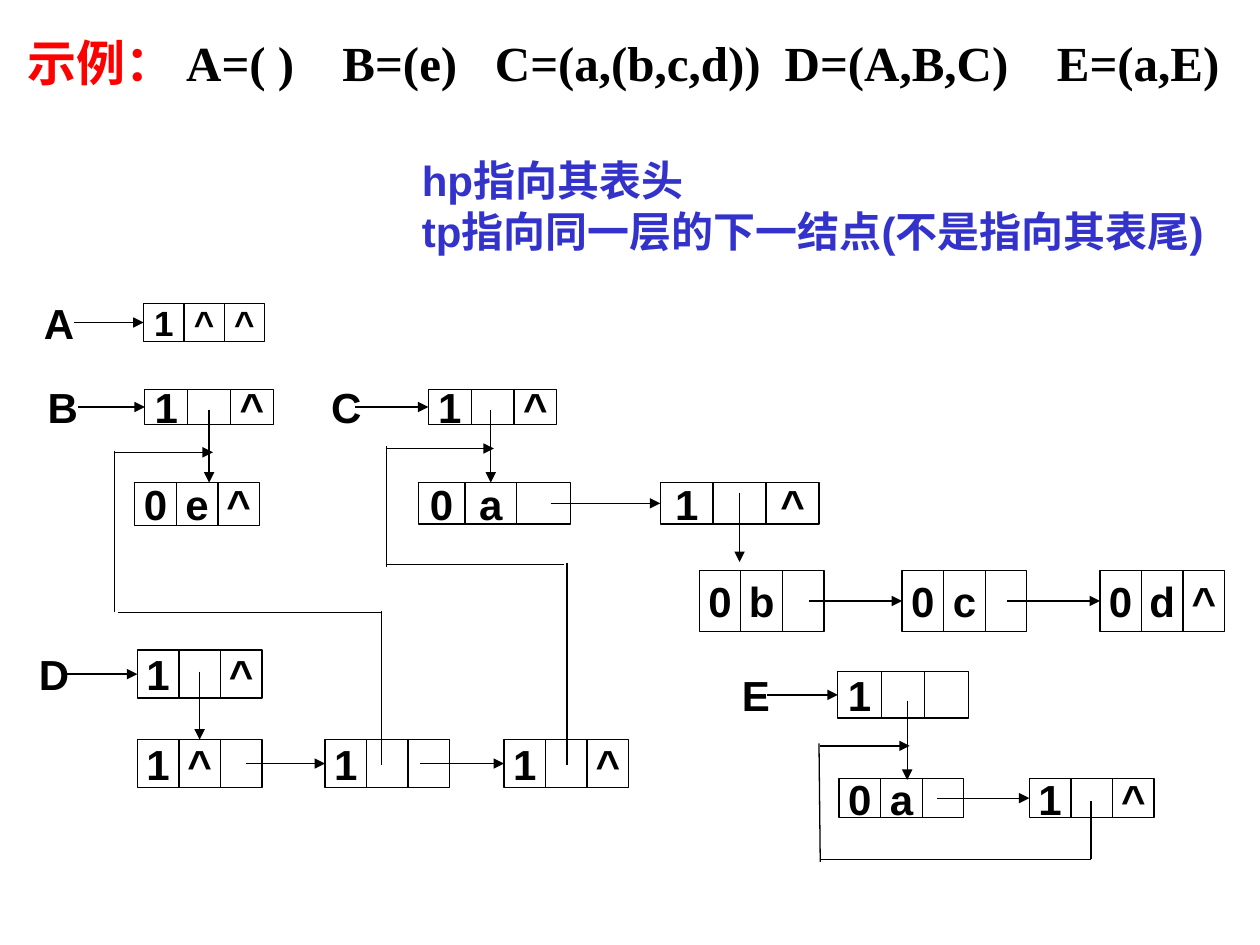
from lxml import etree
from pptx import Presentation
from pptx.dml.color import RGBColor
from pptx.enum.shapes import MSO_CONNECTOR, MSO_SHAPE
from pptx.enum.text import MSO_ANCHOR, PP_ALIGN
from pptx.oxml.ns import qn
from pptx.util import Inches, Pt

RECT = MSO_SHAPE.RECTANGLE
LINE = MSO_CONNECTOR.STRAIGHT
MID = MSO_ANCHOR.MIDDLE
MIDDLE = PP_ALIGN.CENTER
TOP, LEFT = 0, 1

THEME = {
    "ink": RGBColor(0, 0, 0),
    "red": RGBColor(0xFF, 0, 0),
    "blue": RGBColor(0x33, 0x33, 0xCC),
    "serif": "Times New Roman",
    "sans": "Arial",
    "title": 28,
    "body": 24,
    "small": 20,
    "rule": 0.75,
}

# Content: title, with a tab stop in inches for each list
HEAD = "示例："
LISTS = [
    ("A=( )", 1.26), ("B=(e)", 2.5), ("C=(a,(b,c,d))", 3.71),
    ("D=(A,B,C)", 6.01), ("E=(a,E)", 8.17),
]
NOTES = ["hp指向其表头", "tp指向同一层的下一结点(不是指向其表尾)"]

# Nodes: left, top, cell widths, height, cell texts
NODES = {
    "A": (1.14, 2.41, (0.32,) * 3, 0.3, "1^^"),
    "B": (1.15, 3.09, (0.34,) * 3, 0.28, "1 ^"),
    "C": (3.4, 3.09, (0.34,) * 3, 0.28, "1 ^"),
    "e": (1.07, 3.83, (0.33,) * 3, 0.34, "0e^"),
    "a": (3.32, 3.83, (0.37, 0.41, 0.43), 0.33, "0a "),
    "sub": (5.24, 3.83, (0.42,) * 3, 0.33, "1 ^"),
    "b": (5.55, 4.53, (0.33,) * 3, 0.48, "0b "),
    "c": (7.16, 4.53, (0.33,) * 3, 0.48, "0c "),
    "d": (8.73, 4.53, (0.33,) * 3, 0.48, "0d^"),
    "D": (1.09, 5.16, (0.33,) * 3, 0.38, "1 ^"),
    "D1": (1.09, 5.87, (0.33,) * 3, 0.38, "1^ "),
    "D2": (2.58, 5.87, (0.33,) * 3, 0.38, "1  "),
    "D3": (4, 5.87, (0.33,) * 3, 0.38, "1 ^"),
    "E": (6.65, 5.33, (0.345,) * 3, 0.37, "1  "),
    "Ea": (6.66, 6.18, (0.33,) * 3, 0.31, "0a "),
    "Ee": (8.17, 6.18, (0.33,) * 3, 0.31, "1 ^"),
}

# List names: left of the label beside the node of the same name
NAMES = {"A": 0.25, "B": 0.28, "C": 2.53, "D": 0.21, "E": 5.79}

# Arrows into the left side of a node: start x, node
ACROSS = [
    (0.59, "A"), (0.62, "B"), (2.82, "C"), (0.53, "D"), (6.09, "E"),
    (4.37, "sub"), (6.42, "c"), (7.99, "d"),
    (1.95, "D2"), (3.33, "D3"), (7.44, "Ee"),
]
# Arrows into the top of a node's second cell: start y, node
DOWN = [(3.25, "a"), (5.33, "D1")]
# Other arrows and plain lines: x1, y1, x2, y2
ARROWS = [
    (1.66, 3.25, 1.66, 3.83), (5.87, 3.91, 5.87, 4.46),
    (7.2, 5.56, 7.2, 6.19), (0.91, 3.59, 1.69, 3.59),
    (3.06, 3.56, 3.92, 3.56), (6.51, 5.92, 7.22, 5.92),
]
LINES = [
    (0.91, 4.86, 0.91, 3.58), (0.94, 4.86, 3.03, 4.86),
    (3.03, 4.85, 3.03, 6.07), (3.07, 4.5, 3.07, 3.54),
    (3.06, 4.48, 4.48, 4.48), (4.5, 4.47, 4.5, 6.07),
    (6.51, 6.84, 6.5, 5.9), (6.52, 6.82, 8.66, 6.82),
    (8.66, 6.36, 8.66, 6.82),
]

deck = Presentation()
deck.slide_width, deck.slide_height = Inches(10), Inches(7.5)
slide = deck.slides.add_slide(deck.slide_layouts[6])
shapes = slide.shapes


def add_run(para, text, color="ink", size="body", font="sans"):
    run = para.add_run()
    run.text = text
    run.font.name = THEME[font]
    run.font.size = Pt(THEME[size])
    run.font.bold = True
    run.font.color.rgb = THEME[color]


def add_box(x, y, w, h):
    frame = shapes.add_textbox(*map(Inches, (x, y, w, h))).text_frame
    frame.word_wrap = True
    return frame


def add_mark(frame, text, size="body"):
    frame.word_wrap = False
    frame.vertical_anchor = MID
    para = frame.paragraphs[0]
    para.alignment = MIDDLE
    add_run(para, text, size=size)


def add_cell(x, y, w, h, text, size):
    cell = shapes.add_shape(RECT, *map(Inches, (x, y, w, h)))
    cell.shadow.inherit = False
    cell.fill.background()
    cell.line.color.rgb = THEME["ink"]
    cell.line.width = Pt(THEME["rule"])
    if text.strip():
        add_mark(cell.text_frame, text, size)
    return cell


def add_line(x1, y1, x2, y2, arrow=False):
    line = shapes.add_connector(LINE, *map(Inches, (x1, y1, x2, y2)))
    line.line.color.rgb = THEME["ink"]
    line.line.width = Pt(THEME["rule"])
    if arrow:
        tip = etree.SubElement(line.line._get_or_add_ln(), qn("a:tailEnd"))
        tip.set("type", "triangle")
    etree.SubElement(line._element.spPr, qn("a:effectLst"))
    return line


# Title
para = add_box(0.12, 0.21, 9.83, 1.02).paragraphs[0]
tabs = etree.SubElement(para._p.get_or_add_pPr(), qn("a:tabLst"))
for _, stop in LISTS:
    etree.SubElement(tabs, qn("a:tab"), pos=str(Inches(stop)), algn="l")
add_run(para, HEAD, "red", "title", "serif")
for text, _ in LISTS:
    add_run(para, "\t" + text, "ink", "title", "serif")

# Notes with a hanging indent
frame = add_box(3.25, 1.18, 6.67, 1)
for i, text in enumerate(NOTES):
    para = frame.add_paragraph() if i else frame.paragraphs[0]
    props = para._p.get_or_add_pPr()
    props.set("marL", str(Inches(0.38)))
    props.set("indent", str(-Inches(0.38)))
    add_run(para, text, "blue")

# Nodes
cells = {}
for name, (x, y, widths, h, texts) in NODES.items():
    size = "small" if name == "A" else "body"
    cells[name] = [
        add_cell(x + sum(widths[:i]), y, w, h, texts[i], size)
        for i, w in enumerate(widths)
    ]

# List names
for name, x in NAMES.items():
    _, y, _, h, _ = NODES[name]
    add_mark(add_box(x, y, 0.35, h), name)

# Arrows joined to nodes
for start, name in ACROSS:
    x, y, _, h, _ = NODES[name]
    line = add_line(start, y + h / 2, x, y + h / 2, True)
    line.end_connect(cells[name][0], LEFT)
for start, name in DOWN:
    x, y, widths, _, _ = NODES[name]
    x += widths[0] + widths[1] / 2
    line = add_line(x, start, x, y, True)
    line.end_connect(cells[name][1], TOP)

# Free arrows and lines
for ends in ARROWS:
    add_line(*ends, True)
for ends in LINES:
    add_line(*ends)

deck.save("out.pptx")
